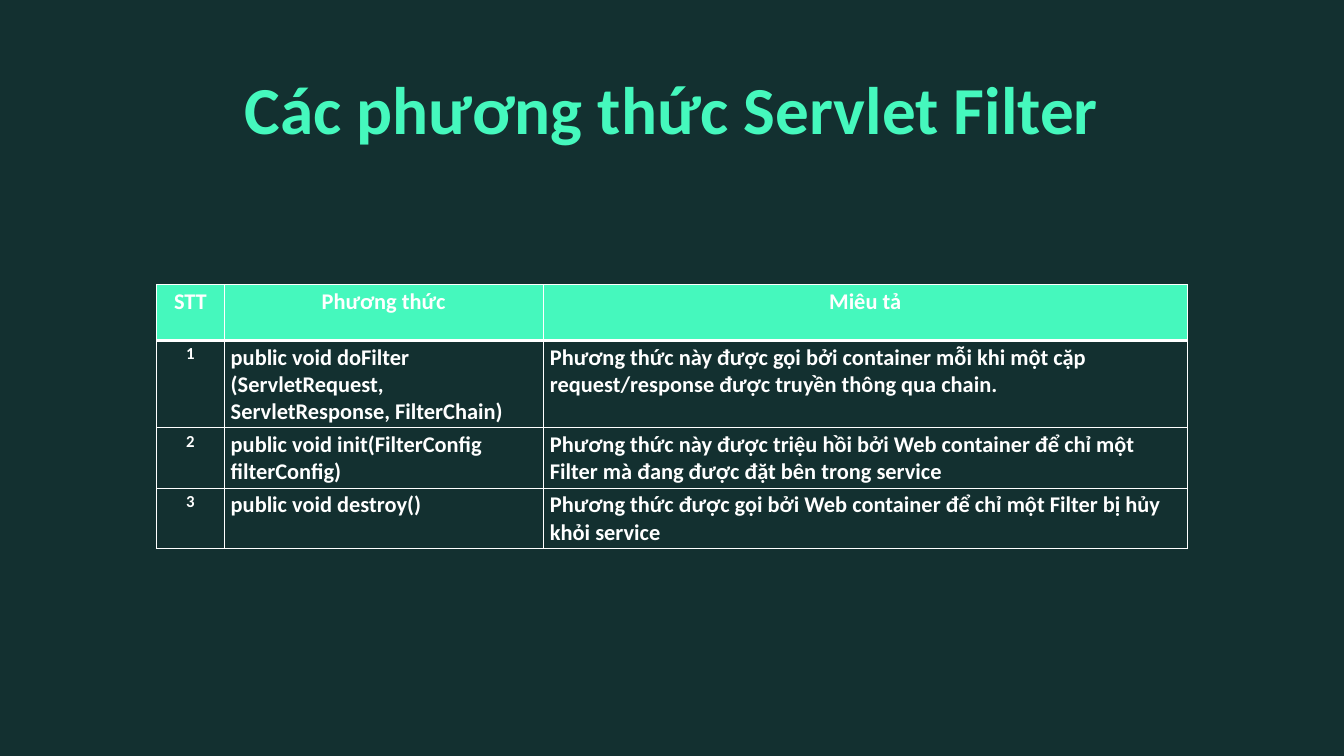
import pptx
import pptx.util
import pptx.dml.color
import pptx.enum.text
import pptx.oxml
import pptx.oxml.ns

Pt = pptx.util.Pt
ALIGN = pptx.enum.text.PP_ALIGN
DARK, MINT, WHITE = "133030", "45F8BD", "FFFFFF"
COLUMNS = (72, 342, 690)
ROWS = (60, 49, 49, 49)
HEADER = ("STT", "Phương thức", "Miêu tả")
METHODS = (
    ("public void doFilter (ServletRequest, ServletResponse, FilterChain)",
     "Phương thức này được gọi bởi container mỗi khi một cặp "
     "request/response được truyền thông qua chain."),
    ("public void init(FilterConfig filterConfig)",
     "Phương thức này được triệu hồi bởi Web container để chỉ một "
     "Filter mà đang được đặt bên trong service"),
    ("public void destroy()",
     "Phương thức được gọi bởi Web container để chỉ một Filter bị hủy "
     "khỏi service"),
)


def rgb(value):
    """Return the colour for a hex string."""
    return pptx.dml.color.RGBColor.from_string(value)


def write(tf, text, size, color, align):
    """Write one bold paragraph into a text frame and return it."""
    p = tf.paragraphs[0]
    p.alignment = align
    r = p.add_run()
    r.text = text
    for name, value in {"name": "Calibri", "size": Pt(size), "bold": True}.items():
        setattr(r.font, name, value)
    r.font.color.rgb = rgb(color)
    return p


def set_borders(cell, widths):
    """Draw white cell borders from a dict of side and width in points."""
    tc_pr = cell._tc.get_or_add_tcPr()
    for side, width in widths.items():
        tc_pr.append(pptx.oxml.parse_xml(
            f'<a:ln{side} {pptx.oxml.ns.nsdecls("a")} w="{Pt(width)}">'
            f'<a:solidFill><a:srgbClr val="{WHITE}"/></a:solidFill></a:ln{side}>'))


def add_title(s, text, x, y, w, h):
    """Place the slide title in the given box."""
    sp = s.shapes.title
    box = {"left": x, "top": y, "width": w, "height": h}
    for name, value in box.items():
        setattr(sp, name, Pt(value))
    tf = sp.text_frame
    frame = {"margin_left": 0, "margin_top": 0, "margin_right": 0, "margin_bottom": 0,
             "word_wrap": True,
             "vertical_anchor": pptx.enum.text.MSO_ANCHOR.TOP,
             "auto_size": pptx.enum.text.MSO_AUTO_SIZE.SHAPE_TO_FIT_TEXT}
    for name, value in frame.items():
        setattr(tf, name, value)
    p = write(tf, text, 72, MINT, ALIGN.CENTER)
    p.line_spacing, p.space_before = Pt(143.2), Pt(0)


def add_methods(s, x, y):
    """Place the method table with its top left corner at the given point."""
    rows = [HEADER] + [(str(i), *method) for i, method in enumerate(METHODS, 1)]
    table = s.shapes.add_table(len(ROWS), len(COLUMNS), Pt(x), Pt(y),
                               Pt(sum(COLUMNS)), Pt(sum(ROWS))).table
    table.horz_banding = False
    for column, width in zip(table.columns, COLUMNS):
        column.width = Pt(width)
    for i, (row, height, texts) in enumerate(zip(table.rows, ROWS, rows)):
        row.height = Pt(height)
        for j, (cell, text) in enumerate(zip(row.cells, texts)):
            set_borders(cell, {"L": 1, "R": 1, "T": 3 if i == 1 else 1,
                               "B": 3 if i == 0 else 1})
            if i == 0:
                cell.fill.solid()
                cell.fill.fore_color.rgb = rgb(MINT)
            else:
                cell.fill.background()
            write(cell.text_frame, text, 18 if i and j == 0 else 24, WHITE,
                  ALIGN.CENTER if i == 0 or j == 0 else ALIGN.LEFT)


def main():
    """Build and save the slide."""
    prs = pptx.Presentation()
    prs.slide_width, prs.slide_height = Pt(1440), Pt(810)
    s = prs.slides.add_slide(prs.slide_layouts[5])
    s.background.fill.solid()
    s.background.fill.fore_color.rgb = rgb(DARK)
    add_title(s, "Các phương thức Servlet Filter", 142, 15, 1155.6, 129.6)
    add_methods(s, 168, 304.8)
    prs.save("out.pptx")


if __name__ == "__main__":
    main()
